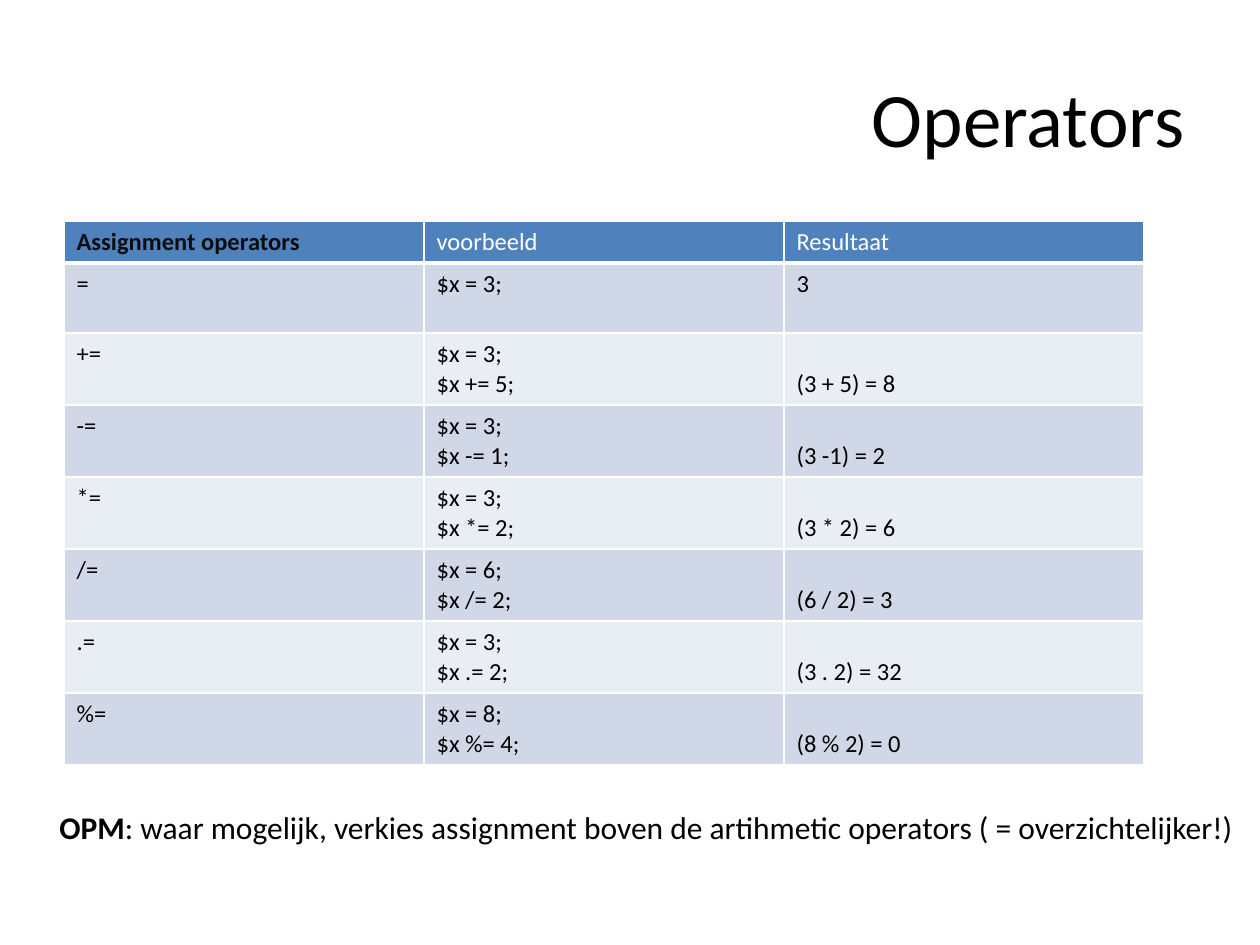
import pptx
import pptx.dml.color
import pptx.enum.text
import pptx.oxml
import pptx.oxml.ns
import pptx.util

PX = 914400 // 126
FONT = "Calibri"
ANCHOR = pptx.enum.text.MSO_ANCHOR
HEADINGS = ["Assignment operators", "voorbeeld", "Resultaat"]
OPERATIONS = [
    ("=", "$x = 3;", "3"),
    ("+=", "$x = 3;\v$x += 5;", "(3 + 5) = 8"),
    ("-=", "$x = 3;\v$x -= 1;", "(3 -1) = 2"),
    ("*=", "$x = 3;\v$x *= 2;", "(3 * 2) = 6"),
    ("/=", "$x = 6;\v$x /= 2;", "(6 / 2) = 3"),
    (".=", "$x = 3;\v$x .= 2;", "(3 . 2) = 32"),
    ("%=", "$x = 8;\v$x %= 4;", "(8 % 2) = 0"),
]


def px(*lengths):
    """Turn px lengths into EMU."""
    return [length * PX for length in lengths]


def color(value):
    """Turn a hex string into a colour."""
    return pptx.dml.color.RGBColor.from_string(value)


def style(span, size, value="000000", bold=False):
    """Set the font of one run."""
    span.font.name = FONT
    span.font.size = pptx.util.Pt(size)
    span.font.bold = bold
    span.font.color.rgb = color(value)


def add_title(page, box, text):
    """Place the right-aligned title."""
    frame = page.shapes.add_textbox(*px(*box)).text_frame
    frame.word_wrap = True
    frame.vertical_anchor = ANCHOR.MIDDLE
    frame.text = text
    para = frame.paragraphs[0]
    para.alignment = pptx.enum.text.PP_ALIGN.RIGHT
    style(para.runs[0], 44)


def add_border(cell, side, points):
    """Draw one white cell border."""
    line = pptx.oxml.parse_xml(
        f'<a:{side} {pptx.oxml.ns.nsdecls("a")} w="{pptx.util.Pt(points)}">'
        '<a:solidFill><a:srgbClr val="FFFFFF"/></a:solidFill>'
        f'</a:{side}>'
    )
    cell._tc.get_or_add_tcPr().append(line)


def fill_cell(cell, text, fill, value, bold, bottom_width):
    """Set the text, borders and fill of one cell."""
    for side, points in (("lnL", 1), ("lnR", 1), ("lnT", 1), ("lnB", bottom_width)):
        add_border(cell, side, points)
    cell.fill.solid()
    cell.fill.fore_color.rgb = color(fill)
    para = cell.text_frame.paragraphs[0]
    para.text = text
    for span in para.runs:
        style(span, 14, value, bold)


def add_operator_table(page, box, header_height, first_height):
    """Place the table of assignment operators."""
    left, top, width, height = box
    rows, columns = len(OPERATIONS) + 1, len(HEADINGS)
    table = page.shapes.add_table(rows, columns, *px(*box)).table
    table.first_row = table.horz_banding = False
    for column in table.columns:
        column.width = width // columns * PX
    other_height = (height - header_height - first_height) // (rows - 2)
    heights = [header_height, first_height] + [other_height] * (rows - 2)
    for row, row_height in zip(table.rows, heights):
        row.height = row_height * PX
    for index, text in enumerate(HEADINGS):
        value = "FFFFFF" if index else "0D0D0D"
        fill_cell(table.cell(0, index), text, "4F81BD", value, index == 0, 3)
    for number, operation in enumerate(OPERATIONS, 1):
        fill = "D0D8E8" if number % 2 else "E9EDF4"
        for index, text in enumerate(operation):
            fill_cell(table.cell(number, index), text, fill, "000000", False, 1)
        if number > 1:
            table.cell(number, columns - 1).vertical_anchor = ANCHOR.BOTTOM


def add_remark(page, box, label, text):
    """Place the remark with its bold label."""
    frame = page.shapes.add_textbox(*px(*box)).text_frame
    frame.word_wrap = False
    para = frame.paragraphs[0]
    for words, bold in ((label, True), (text, False)):
        span = para.add_run()
        span.text = words
        style(span, 18, bold=bold)


def main():
    """Build and save the slide."""
    deck = pptx.Presentation()
    deck.slide_width, deck.slide_height = px(1260, 945)
    page = deck.slides.add_slide(deck.slide_layouts[6])
    add_title(page, (63, 38, 1134, 157), "Operators")
    add_operator_table(page, (64, 221, 1080, 544), 42, 70)
    add_remark(
        page, (47, 802, 1213, 50), "OPM",
        ": waar mogelijk, verkies assignment boven de artihmetic operators ( = overzichtelijker!)",
    )
    deck.save("out.pptx")


if __name__ == "__main__":
    main()
